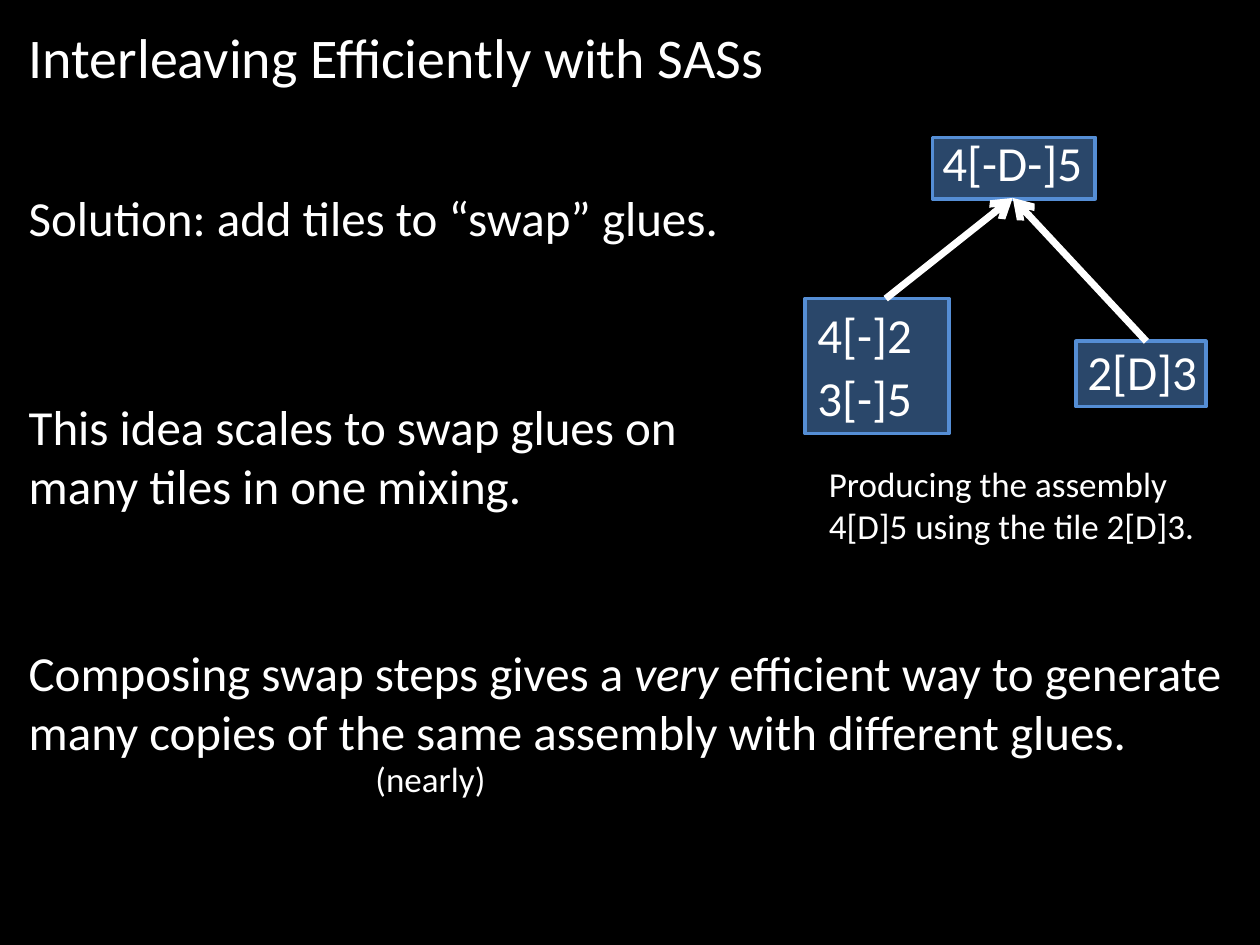
import lxml.etree
import pptx
import pptx.dml.color
import pptx.enum.shapes
import pptx.enum.text
import pptx.oxml.ns
import pptx.util
from pptx.util import Cm

BLACK = pptx.dml.color.RGBColor(0x00, 0x00, 0x00)
WHITE = pptx.dml.color.RGBColor(0xFF, 0xFF, 0xFF)
BLUE = pptx.dml.color.RGBColor(0x55, 0x8E, 0xD5)
MARGIN = 0.33


def add_text(shapes, left, top, width, height, size, *paragraphs):
    """Add white text; each paragraph is a list of (wording, italic) runs."""
    box = shapes.add_textbox(Cm(left), Cm(top), Cm(width), Cm(height))
    frame = box.text_frame
    frame.word_wrap = True
    frame.auto_size = pptx.enum.text.MSO_AUTO_SIZE.SHAPE_TO_FIT_TEXT
    for index, runs in enumerate(paragraphs):
        paragraph = frame.add_paragraph() if index else frame.paragraphs[0]
        paragraph.font.name = "Calibri"
        paragraph.font.size = pptx.util.Pt(size)
        paragraph.font.color.rgb = WHITE
        for wording, italic in runs:
            run = paragraph.add_run()
            run.text = wording
            if italic:
                run.font.italic = True
    return box


def add_xml(parent, tag, **attributes):
    return lxml.etree.SubElement(parent, pptx.oxml.ns.qn(tag), attributes)


presentation = pptx.Presentation()
presentation.slide_width = Cm(25.4)
presentation.slide_height = Cm(19.05)
slide = presentation.slides.add_slide(presentation.slide_layouts[6])
slide.background.fill.solid()
slide.background.fill.fore_color.rgb = BLACK
shapes = slide.shapes

# Half-transparent boxes behind the assemblies
for left, top, width, height in [
    (16.23, 6.02, 2.9, 2.72),
    (21.69, 6.88, 2.62, 1.32),
    (18.8, 2.77, 3.28, 1.24),
]:
    box = shapes.add_shape(
        pptx.enum.shapes.MSO_SHAPE.RECTANGLE, Cm(left), Cm(top), Cm(width), Cm(height)
    )
    box.shadow.inherit = False
    box.fill.solid()
    box.fill.fore_color.rgb = BLUE
    color = box.fill._xPr.find(".//" + pptx.oxml.ns.qn("a:srgbClr"))
    add_xml(color, "a:alpha", val="50000")
    box.line.color.rgb = BLUE
    box.line.width = pptx.util.Pt(2)

# Title, statements and caption
for left, top, width, height, size, *lines in [
    (MARGIN, 0.33, 19.71, 1.63, 32, "Interleaving Efficiently with SASs"),
    (MARGIN, 3.66, 15.9, 1.45, 28, "Solution: add tiles to “swap” glues."),
    (MARGIN, 7.87, 14.83, 2.64, 28,
     "This idea scales to swap glues on many tiles in one mixing."),
    (16.46, 9.19, 15.04, 1.96, 20,
     "Producing the assembly", "4[D]5 using the tile 2[D]3."),
]:
    add_text(shapes, left, top, width, height, size, *[[(line, False)] for line in lines])

# Assembly labels
labels = {}
for wording, left, top, width in [
    ("4[-]2", 16.23, 6.02, 3.25),
    ("3[-]5", 16.23, 7.29, 3.25),
    ("2[D]3", 21.67, 6.76, 2.92),
    ("4[-D-]5", 18.75, 2.54, 3.33),
]:
    labels[wording] = add_text(shapes, left, top, width, 1.45, 28, [(wording, False)])

# Arrows from the two parts to the product
for start_left, start_top, source in [(17.86, 6.02, labels["4[-]2"]), (23.11, 6.88, None)]:
    arrow = shapes.add_connector(
        pptx.enum.shapes.MSO_CONNECTOR.STRAIGHT,
        Cm(start_left), Cm(start_top), Cm(20.42), Cm(3.99),
    )
    if source is not None:
        arrow.begin_connect(source, 0)
    arrow.end_connect(labels["4[-D-]5"], 2)
    arrow.line.color.rgb = WHITE
    arrow.line.width = pptx.util.Pt(4)
    add_xml(arrow.line._get_or_add_ln(), "a:tailEnd", type="arrow")
    add_xml(arrow._element.spPr, "a:effectLst")

# Conclusion with its qualifying remark
conclusion = shapes.add_group_shape()
add_text(
    conclusion.shapes, MARGIN, 12.83, 25.17, 2.64, 28,
    [
        ("Composing swap steps gives a ", False),
        ("very", True),
        (" efficient way to generate many copies of the same assembly"
         " with different glues.", False),
    ],
)
add_text(conclusion.shapes, 7.32, 15.14, 3.3, 1.12, 20, [("(nearly)", False)])

presentation.save("out.pptx")
